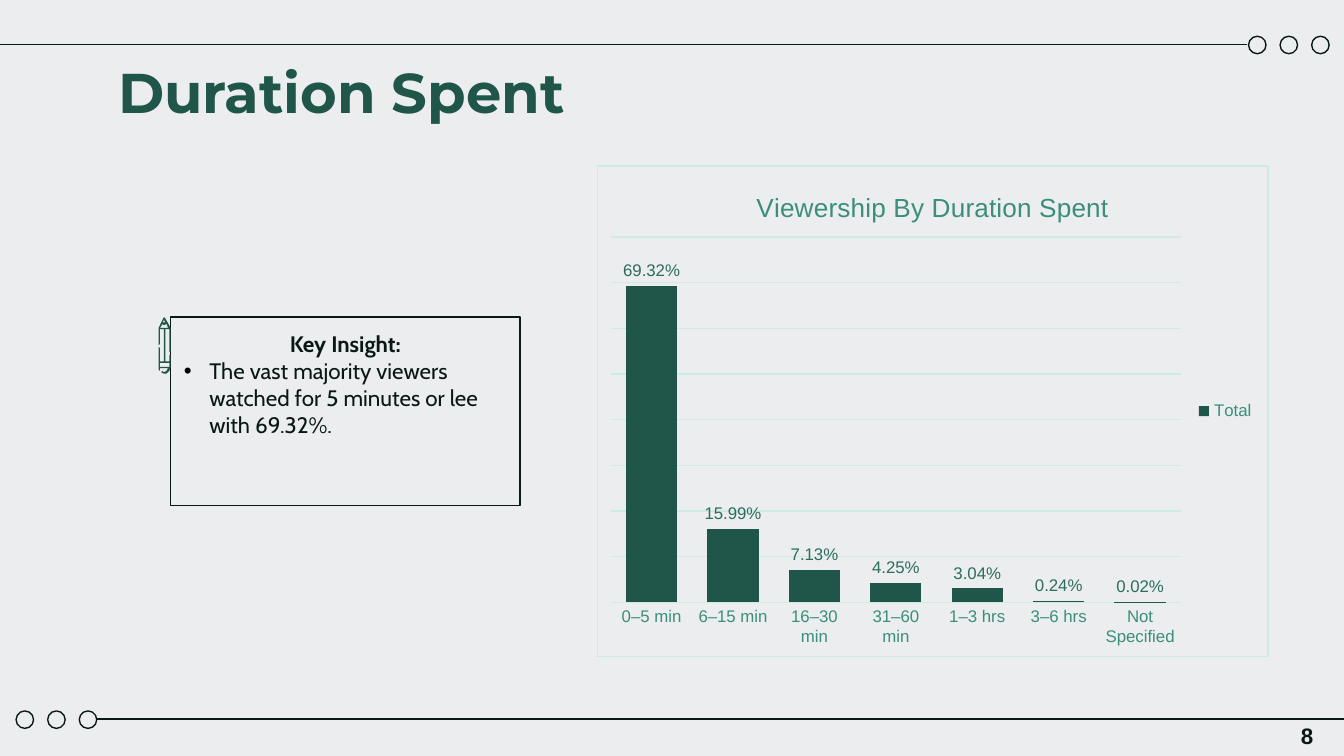
from lxml import etree
from pptx import Presentation
from pptx.chart.data import CategoryChartData
from pptx.dml.color import RGBColor
from pptx.enum.chart import (XL_CHART_TYPE as ChartType, XL_LABEL_POSITION as LabelPos,
                             XL_LEGEND_POSITION as LegendPos, XL_TICK_LABEL_POSITION as TickPos,
                             XL_TICK_MARK as TickMark)
from pptx.enum.shapes import MSO_CONNECTOR as Connector, MSO_SHAPE as Shape
from pptx.enum.text import MSO_ANCHOR as Anchor, PP_ALIGN as Align
from pptx.oxml import parse_xml
from pptx.oxml.ns import nsdecls, qn
from pptx.util import Inches, Pt

PAPER = RGBColor(0xEB, 0xED, 0xEE)
INK = RGBColor(0x0A, 0x18, 0x15)
GREEN = RGBColor(0x20, 0x55, 0x49)
LABEL = RGBColor(0x2D, 0x6C, 0x5E)
TEAL = RGBColor(0x3B, 0x8E, 0x7C)
MINT = RGBColor(0xCD, 0xEA, 0xE4)

DURATIONS = {"0–5 min": 0.6932, "6–15 min": 0.1599, "16–30 min": 0.0713, "31–60 min": 0.0425,
             "1–3 hrs": 0.0304, "3–6 hrs": 0.0024, "Not Specified": 0.0002}

PENCIL = [
    [(122, 236), (123, 237), (127, 244), (127, 262), (126, 262), (126, 245),
     (123, 245), (123, 269), (126, 269), (126, 264), (127, 264), (127, 273),
     (126, 276), (124, 278), (122, 278), (120, 277), (121, 276), (122, 277),
     (124, 276), (125, 274), (119, 274), (119, 276), (118, 275), (118, 258),
     (119, 259), (119, 269), (122, 269), (122, 245), (119, 245), (119, 256),
     (118, 257), (118, 244), (120, 240)],
    [(122, 238), (123, 240), (122, 240), (121, 240)],
    [(124, 241), (125, 244), (119, 244), (121, 241), (122, 242)],
    [(126, 270), (126, 273), (119, 273), (119, 270)],
]


def style_font(font, size, color, name="Arial", bold=False):
    font.size, font.name, font.bold = Pt(size), name, bold
    font.color.rgb = color


def add_run(p, text, size, color, name="Arial", bold=False):
    r = p.add_run()
    r.text = text
    style_font(r.font, size, color, name, bold)


def set_margins(tf):
    tf.margin_left = tf.margin_right = tf.margin_top = tf.margin_bottom = Inches(0.1)


def add_outline(s, kind, left, top, width, height):
    sp = s.shapes.add_shape(kind, Inches(left), Inches(top), Inches(width), Inches(height))
    sp.shadow.inherit = False
    sp.fill.background()
    sp.line.color.rgb = INK
    sp.line.width = Pt(0.75)
    return sp


def add_rule(s, x1, x2, y):
    line = s.shapes.add_connector(Connector.STRAIGHT, Inches(x1), Inches(y), Inches(x2), Inches(y))
    line.line.color.rgb = INK
    line.line.width = Pt(0.75)
    etree.SubElement(line._element.spPr, qn("a:effectLst"))


def add_frame_lines(s):
    for left, top in ((0.12, 5.29), (9.29, 0.27)):
        for i in range(3):
            add_outline(s, Shape.OVAL, left + i * 0.235, top, 0.13, 0.13)
    add_rule(s, 9.28, 0, 0.33)
    add_rule(s, 0.72, 10, 5.35)


def add_title(s, text):
    sp = s.shapes.title
    sp.left, sp.top, sp.width, sp.height = Inches(0.78), Inches(0.33), Inches(8.44), Inches(0.63)
    tf = sp.text_frame
    set_margins(tf)
    tf.vertical_anchor = Anchor.TOP
    p = tf.paragraphs[0]
    p.alignment = Align.LEFT
    add_run(p, text, 30, GREEN, "Montserrat", True)


def add_bullet(p):
    pPr = p._p.get_or_add_pPr()
    pPr.set("marL", str(Inches(0.19)))
    pPr.set("indent", str(-Inches(0.19)))
    color = etree.SubElement(pPr, qn("a:buClr"))
    etree.SubElement(color, qn("a:srgbClr"), val="000000")
    etree.SubElement(pPr, qn("a:buFont"), typeface="Arial")
    etree.SubElement(pPr, qn("a:buChar"), char="•")


def add_insight(s, heading, text):
    sp = add_outline(s, Shape.RECTANGLE, 1.27, 2.36, 2.6, 1.4)
    tf = sp.text_frame
    tf.word_wrap = True
    tf.vertical_anchor = Anchor.TOP
    set_margins(tf)
    p = tf.paragraphs[0]
    p.alignment = Align.CENTER
    add_run(p, heading, 12, INK, "Cabin", True)
    p = tf.add_paragraph()
    p.alignment = Align.LEFT
    add_bullet(p)
    add_run(p, text, 12, INK, "Cabin")


def add_pencil(s):
    outline, *holes = PENCIL
    fb = s.shapes.build_freeform(*outline[0], scale=Inches(0.01))
    fb.add_line_segments(outline[1:])
    for hole in holes:
        fb.move_to(*hole[0])
        fb.add_line_segments(hole[1:])
    sp = fb.convert_to_shape()
    sp.shadow.inherit = False
    sp.fill.solid()
    sp.fill.fore_color.rgb = GREEN
    sp.line.fill.background()


def make_layout(inner=False, **sizes):
    target = '<c:layoutTarget val="inner"/>' if inner else ""
    modes = '<c:xMode val="edge"/><c:yMode val="edge"/>'
    values = "".join(f'<c:{key} val="{value}"/>' for key, value in sizes.items())
    return parse_xml(f'<c:layout {nsdecls("c")}><c:manualLayout>{target}{modes}{values}'
                     '</c:manualLayout></c:layout>')


def place_chart_parts(chart):
    title = chart.chart_title._element
    plot_area = chart._chartSpace.chart.plotArea
    for part in (title, plot_area):
        for old in part.findall(qn("c:layout")):
            part.remove(old)
    title.find(qn("c:tx")).addnext(make_layout(x=0.23, y=0.04))
    plot_area.insert(0, make_layout(True, x=0.02, y=0.145, w=0.85, h=0.745))
    chart._chartSpace.chart.addnext(parse_xml(
        f'<c:spPr {nsdecls("c", "a")}><a:noFill/><a:ln w="{Pt(0.75)}"><a:solidFill>'
        f'<a:srgbClr val="{MINT}"/></a:solidFill></a:ln></c:spPr>'))


def add_duration_chart(s):
    data = CategoryChartData(number_format="0.00%")
    data.categories = list(DURATIONS)
    data.add_series("Total", list(DURATIONS.values()))
    chart = s.shapes.add_chart(ChartType.COLUMN_CLUSTERED, Inches(4.44), Inches(1.23),
                               Inches(5), Inches(3.66), data).chart
    style_font(chart.font, 10, INK)
    add_run(chart.chart_title.text_frame.paragraphs[0], "Viewership By Duration Spent", 14, TEAL)
    chart.chart_title.include_in_layout = False
    chart.has_legend = True
    chart.legend.position = LegendPos.RIGHT
    chart.legend.include_in_layout = False
    style_font(chart.legend.font, 9, TEAL)

    cat = chart.category_axis
    cat.major_tick_mark = TickMark.NONE
    cat.tick_label_position = TickPos.NEXT_TO_AXIS
    cat.format.line.fill.background()
    style_font(cat.tick_labels.font, 9, TEAL)
    val = chart.value_axis
    val.minimum_scale, val.maximum_scale, val.major_unit = 0, 0.8, 0.1
    val.major_gridlines.format.line.color.rgb = MINT
    val.major_gridlines.format.line.width = Pt(0.75)
    val.tick_labels.number_format = "0.00%"
    val.tick_labels.number_format_is_linked = False
    val.visible = False

    plot = chart.plots[0]
    plot.gap_width = 59
    plot.vary_by_categories = False
    bars = plot.series[0]
    bars.format.fill.solid()
    bars.format.fill.fore_color.rgb = GREEN
    labels = bars.data_labels
    labels.show_value = True
    labels.number_format = "0.00%"
    labels.number_format_is_linked = False
    labels.position = LabelPos.OUTSIDE_END
    style_font(labels.font, 9, LABEL)
    place_chart_parts(chart)


def add_page_number(s, number):
    tf = s.shapes.add_textbox(Inches(9.52), Inches(5.32), Inches(0.35), Inches(0.3)).text_frame
    tf.word_wrap = True
    tf.vertical_anchor = Anchor.MIDDLE
    p = tf.paragraphs[0]
    p.alignment = Align.RIGHT
    add_run(p, number, 12, INK, bold=True)


def main():
    prs = Presentation()
    prs.slide_width = Inches(10)
    prs.slide_height = prs.slide_width * 9 // 16
    s = prs.slides.add_slide(prs.slide_layouts[5])
    s.background.fill.solid()
    s.background.fill.fore_color.rgb = PAPER
    add_frame_lines(s)
    add_title(s, "Duration Spent")
    add_insight(s, "Key Insight:",
                "The vast majority viewers watched for 5 minutes or lee with 69.32%.")
    add_pencil(s)
    add_duration_chart(s)
    add_page_number(s, "8")
    prs.save("out.pptx")


if __name__ == "__main__":
    main()
